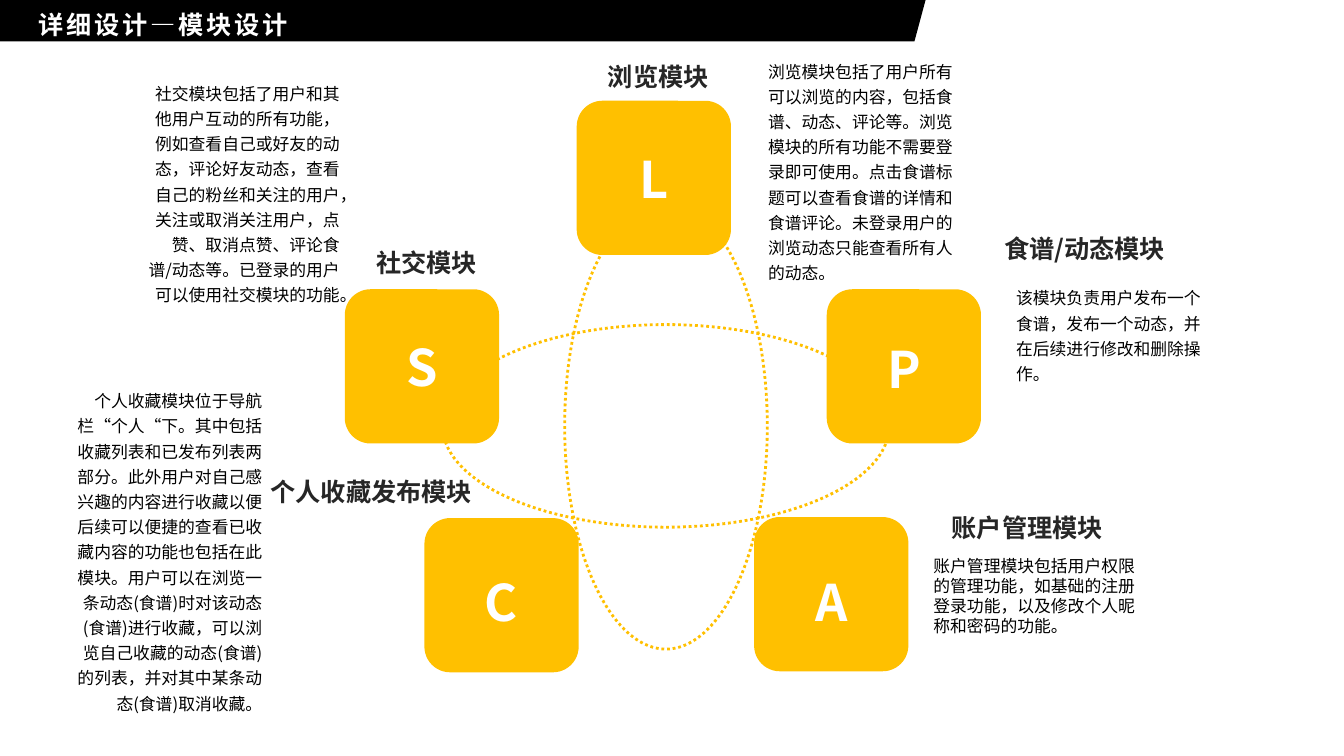
from dataclasses import dataclass

from lxml.etree import SubElement
from pptx import Presentation
from pptx.dml.color import RGBColor as Rgb
from pptx.enum.dml import MSO_LINE as Dash
from pptx.enum.shapes import MSO_SHAPE as Kind
from pptx.enum.text import MSO_ANCHOR as Anchor
from pptx.enum.text import MSO_AUTO_SIZE as Fit
from pptx.enum.text import PP_ALIGN as Align
from pptx.oxml.ns import qn
from pptx.slide import Slide
from pptx.text.text import TextFrame
from pptx.util import Inches, Pt

FONT = "Noto Sans CJK SC"
HUES = {"gold": "FFC000", "black": "000000", "dark": "262626", "white": "FFFFFF"}
TILE = 1.53
RING = (4.39, 3.22, 4.43, 2.01)

Box = tuple[float, float, float, float]


@dataclass
class Module:
    letter: str
    tile: tuple[float, float]
    name: str
    head: Box
    note: str
    body: Box
    align: Align = Align.LEFT
    space: float = 1.25
    drop: float = 0  # how far the letter sits below the tile's middle


MODULES = [
    Module("S", (3.42, 2.87), "社交模块", (2.87, 2.4, 1.96, 0.4),
           "社交模块包括了用户和其他用户互动的所有功能，例如查看自己或好友的动态，"
           "评论好友动态，查看自己的粉丝和关注的用户，关注或取消关注用户，点赞、取消点赞、"
           "评论食谱/动态等。已登录的用户可以使用社交模块的功能。",
           (1.33, 0.73, 2.14, 2.6), Align.RIGHT),
    Module("P", (8.2, 2.87), "食谱/动态模块", (9.86, 2.27, 1.98, 0.4),
           "该模块负责用户发布一个食谱，发布一个动态，并在后续进行修改和删除操作。",
           (9.98, 2.76, 2.13, 1.09), drop=0.02),
    Module("A", (7.48, 5.13), "账户管理模块", (9.34, 5.03, 1.98, 0.4),
           "账户管理模块包括用户权限的管理功能，如基础的注册登录功能，"
           "以及修改个人昵称和密码的功能。",
           (9.16, 5.46, 2.26, 0.91), space=1, drop=0.07),
    Module("C", (4.21, 5.14), "个人收藏发布模块", (2.06, 4.68, 2.72, 0.4),
           "个人收藏模块位于导航栏“个人“下。其中包括收藏列表和已发布列表两部分。"
           "此外用户对自己感兴趣的内容进行收藏以便后续可以便捷的查看已收藏内容的功能"
           "也包括在此模块。用户可以在浏览一条动态(食谱)时对该动态(食谱)进行收藏，"
           "可以浏览自己收藏的动态(食谱)的列表，并对其中某条动态(食谱)取消收藏。",
           (0.56, 3.78, 2.14, 3.36), Align.RIGHT, drop=0.06),
    Module("L", (5.72, 1), "浏览模块", (5.93, 0.56, 1.98, 0.4),
           "浏览模块包括了用户所有可以浏览的内容，包括食谱、动态、评论等。"
           "浏览模块的所有功能不需要登录即可使用。点击食谱标题可以查看食谱的详情和食谱评论。"
           "未登录用户的浏览动态只能查看所有人的动态。",
           (7.52, 0.51, 2.13, 2.35)),
]


def inch(box: Box) -> list[Inches]:
    return [Inches(side) for side in box]


def write(frame: TextFrame, text: str, *, size: float = 12, hue: str = "black",
          bold: bool = False, align: Align = Align.LEFT, space: float = 1,
          track: float = 0, anchor: Anchor = Anchor.TOP) -> None:
    """Fill a frame with one paragraph; track is letter spacing in points."""
    frame.word_wrap = True
    frame.vertical_anchor = anchor
    para = frame.paragraphs[0]
    para.alignment = align
    para.line_spacing = space
    run = para.add_run()
    run.text = text
    font = run.font
    font.name, font.size, font.bold = FONT, Pt(size), bold
    font.color.rgb = Rgb.from_string(HUES[hue])
    props = run._r.get_or_add_rPr()
    SubElement(props, qn("a:ea"), typeface=FONT)
    if track:
        props.set("spc", str(int(track * 100)))


def add_text(slide: Slide, box: Box, text: str, **style) -> None:
    frame = slide.shapes.add_textbox(*inch(box)).text_frame
    write(frame, text, **style)
    frame.auto_size = Fit.SHAPE_TO_FIT_TEXT


def add_head(slide: Slide) -> None:
    """Draw the slanted banner and set the title upon it."""
    pen = slide.shapes.build_freeform(Inches(9.18), 0)
    ends = [(0, 0), (0, 0.41), (9.07, 0.41)]
    pen.add_line_segments([(Inches(x), Inches(y)) for x, y in ends])
    band = pen.convert_to_shape()
    band.shadow.inherit = False
    band.fill.solid()
    band.fill.fore_color.rgb = Rgb.from_string(HUES["black"])
    band.line.fill.background()
    title = slide.shapes.title
    title.left, title.top, title.width, title.height = inch((0.28, -0.02, 4.01, 0.43))
    write(title.text_frame, "详细设计—模块设计", size=18, hue="white", bold=True,
          space=1.2, track=2)
    title.text_frame.auto_size = Fit.NONE
    band.element.addnext(title.element)


def add_ring(slide: Slide, turn: float) -> None:
    ring = slide.shapes.add_shape(Kind.OVAL, *inch(RING))
    ring.rotation = turn
    ring.shadow.inherit = False
    ring.fill.background()
    ring.line.color.rgb = Rgb.from_string(HUES["gold"])
    ring.line.width = Pt(2)
    ring.line.dash_style = Dash.ROUND_DOT


def add_tile(slide: Slide, mod: Module) -> None:
    tile = slide.shapes.add_shape(Kind.ROUNDED_RECTANGLE, *inch((*mod.tile, TILE, TILE)))
    tile.shadow.inherit = False
    tile.fill.solid()
    tile.fill.fore_color.rgb = Rgb.from_string(HUES["gold"])
    tile.line.fill.background()
    write(tile.text_frame, mod.letter, size=36, hue="white", bold=True,
          align=Align.CENTER, anchor=Anchor.MIDDLE)
    tile.text_frame.margin_top = Inches(0.05 + 2 * mod.drop)


def main() -> None:
    deck = Presentation()
    deck.slide_width, deck.slide_height = Inches(13.33), Inches(7.5)
    slide = deck.slides.add_slide(deck.slide_layouts[5])
    add_head(slide)
    for turn in (0, 90):
        add_ring(slide, turn)
    for mod in MODULES:
        add_tile(slide, mod)
        add_text(slide, mod.head, mod.name, size=18, hue="dark", bold=True,
                 align=mod.align)
        add_text(slide, mod.body, mod.note, align=mod.align, space=mod.space)
    deck.save("out.pptx")


if __name__ == "__main__":
    main()
